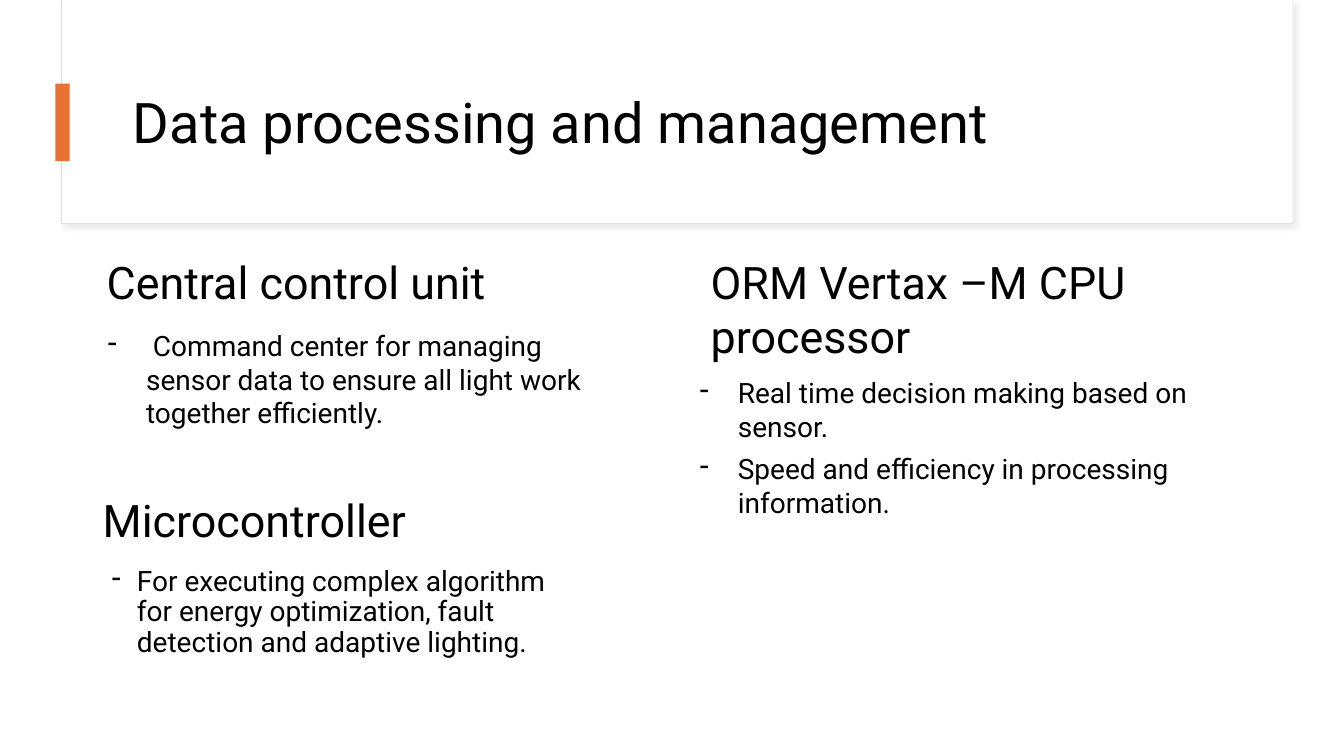
from lxml.etree import SubElement
from pptx import Presentation
from pptx.dml.color import RGBColor
from pptx.enum.shapes import MSO_SHAPE
from pptx.enum.text import MSO_ANCHOR
from pptx.oxml import parse_xml
from pptx.oxml.ns import nsdecls, qn
from pptx.util import Inches, Pt

COLORS = {"text": "000000", "paper": "FFFFFF", "border": "DEDEDE",
          "shadow": "D9D9D9", "accent": "E97132"}
FONT = "Roboto"
LOOSE = {"space_after": Pt(6)}
TIGHT = {"line_spacing": 0.9, "space_before": Pt(8)}


def rgb(name):
    return RGBColor.from_string(COLORS[name])


def add_block(s, box, fill, border=None):
    sp = s.shapes.add_shape(MSO_SHAPE.RECTANGLE, *map(Inches, box))
    sp.shadow.inherit = False
    sp.fill.solid()
    sp.fill.fore_color.rgb = rgb(fill)
    if border:
        sp.line.color.rgb = rgb(border)
        sp.line.width = Pt(0.75)
    else:
        sp.line.fill.background()
    return sp


def add_soft_shadow(sp):
    effects = sp._element.spPr.find(qn("a:effectLst"))
    effects.append(parse_xml(
        f'<a:outerShdw {nsdecls("a")} blurRad="{Pt(4)}" dist="{Pt(3)}" '
        f'dir="2700000" algn="tl" rotWithShape="0">'
        f'<a:srgbClr val="{COLORS["shadow"]}"><a:alpha val="50000"/></a:srgbClr>'
        f'</a:outerShdw>'))


def add_dash(p, indent):
    pPr = p._p.get_or_add_pPr()
    pPr.set("marL", str(Inches(indent)))
    pPr.set("indent", str(-Inches(indent)))
    SubElement(pPr, qn("a:buChar")).set("char", "-")


def add_text(s, box, lines, size, spacing, anchor=MSO_ANCHOR.TOP, indent=None):
    tf = s.shapes.add_textbox(*map(Inches, box)).text_frame
    tf.word_wrap = True
    tf.vertical_anchor = anchor
    for i, line in enumerate(lines):
        p = tf.add_paragraph() if i else tf.paragraphs[0]
        for name, value in spacing.items():
            setattr(p, name, value)
        if indent:
            add_dash(p, indent)
        r = p.add_run()
        r.text = line
        for name, value in {"name": FONT, "size": Pt(size)}.items():
            setattr(r.font, name, value)
        r.font.color.rgb = rgb("text")


def add_header(s, box, title):
    x, y, w, h = box
    add_soft_shadow(add_block(s, (x - 0.01, y + 0.01, w + 0.01, h + 0.01), "paper", "border"))
    add_block(s, box, "paper")
    add_text(s, (x + 0.6, y + 0.6, 11.12, 1.29), [title], 40,
             {"line_spacing": 0.9}, MSO_ANCHOR.MIDDLE)
    add_block(s, (x - 0.07, y + 0.83, 0.14, 0.77), "accent")


def add_topic(s, box, heading, points, offset, point_size, indent, spacing,
              anchor=MSO_ANCHOR.TOP):
    x, y, w, h = box
    dx, dy = offset
    add_text(s, box, [heading], 32, spacing, anchor)
    add_text(s, (x + dx, y + dy, *point_size), points, 20, spacing, indent=indent)


def main():
    prs = Presentation()
    prs.slide_width, prs.slide_height = Inches(13.33), Inches(7.5)
    s = prs.slides.add_slide(prs.slide_layouts[6])
    add_header(s, (0.62, 0, 12.2, 2.2), "Data processing and management")
    add_topic(s, (0.96, 2.48, 4.53, 0.72), "Central control unit",
              [" Command center for managing sensor data to ensure all light work together efficiently."],
              (0.01, 0.73), (5.02, 1.49), 0.38, LOOSE)
    add_topic(s, (6.95, 2.48, 5.39, 0.72), "ORM Vertax –M CPU processor",
              ["Real time decision making based on sensor.",
               "Speed and efficiency in processing information."],
              (-0.11, 1.2), (5.84, 1.79), 0.38, LOOSE)
    add_topic(s, (0.92, 4.76, 4.53, 0.72), "Microcontroller",
              ["For executing complex algorithm for energy optimization, fault detection and adaptive lighting."],
              (0.09, 0.82), (4.55, 1.57), 0.25, TIGHT, MSO_ANCHOR.BOTTOM)
    prs.save("out.pptx")


if __name__ == "__main__":
    main()
